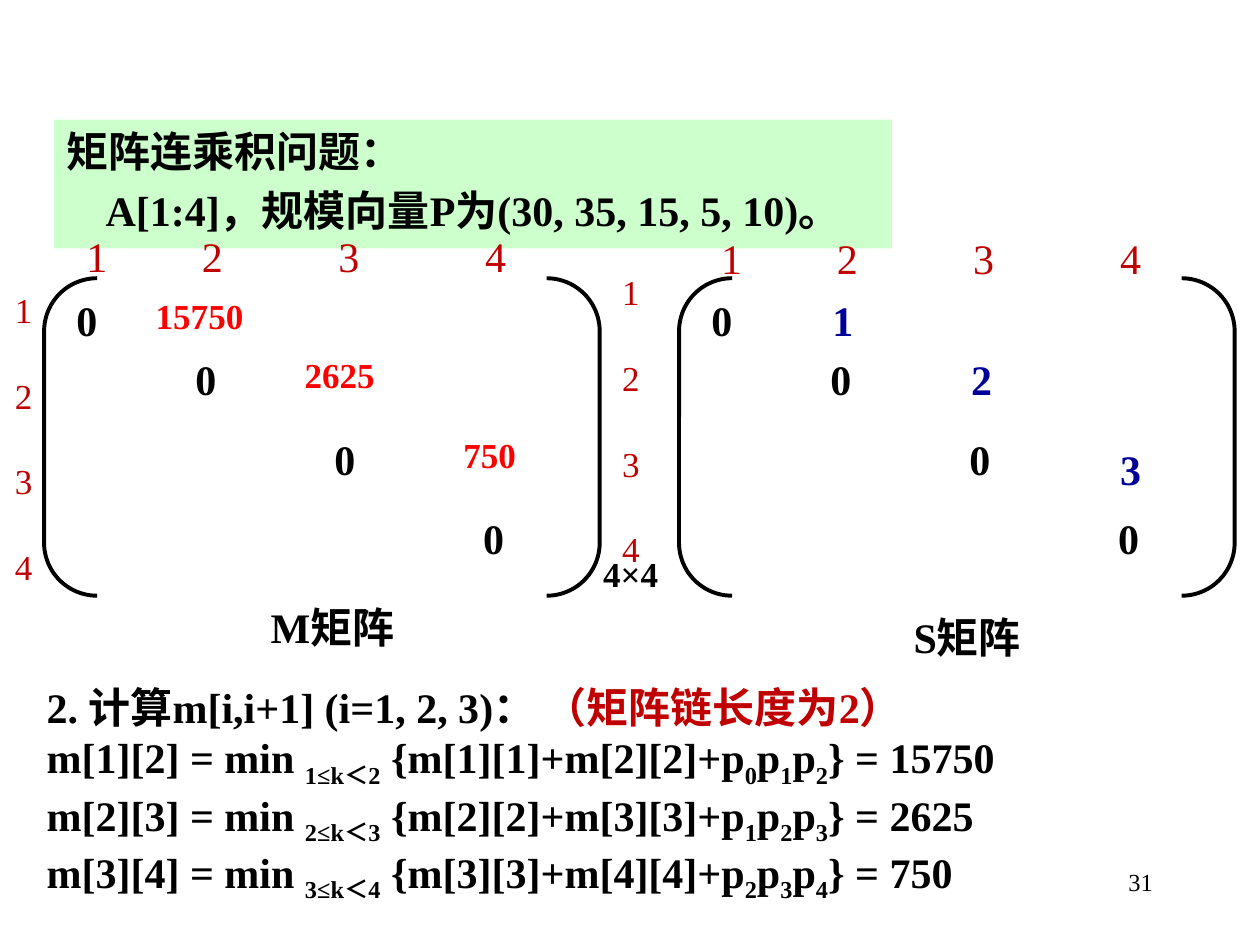
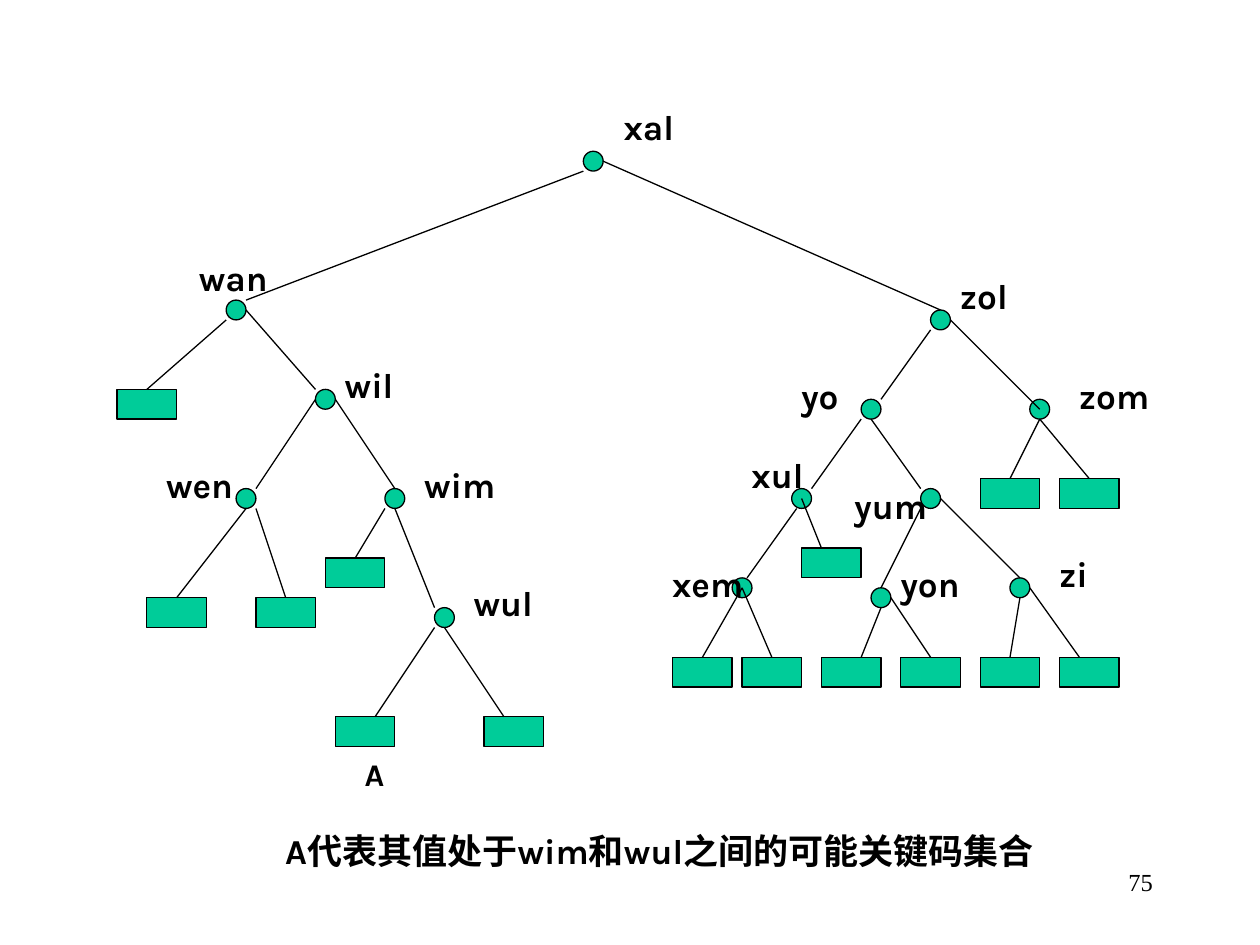
from lxml import etree
from pptx import Presentation
from pptx.dml.color import RGBColor
from pptx.enum.shapes import MSO_CONNECTOR, MSO_SHAPE
from pptx.enum.text import MSO_ANCHOR, PP_ALIGN
from pptx.oxml.ns import qn
from pptx.util import Cm, Pt

LEFT, MID, RIGHT = PP_ALIGN.LEFT, PP_ALIGN.CENTER, PP_ALIGN.RIGHT
TOP = MSO_ANCHOR.TOP
RECT, OVAL, PAIR = MSO_SHAPE.RECTANGLE, MSO_SHAPE.OVAL, MSO_SHAPE.DOUBLE_BRACKET
LINE = MSO_CONNECTOR.STRAIGHT
hue = RGBColor.from_string

BLACK, RED, DARK, BLUE = "000000", "FF0000", "C00000", "000099"
MINT, GREEN = "CCFFCC", "00CC99"
BASE = {"name": "Times New Roman", "size": Pt(24), "bold": True}
SMALL = BASE | {"size": Pt(20)}
PLAIN = BASE | {"bold": False}
KARLA = SMALL | {"name": "Karla"}


def write(slide, place, lines, form=BASE, ink=BLACK, align=LEFT, gap=0, fill=None):
    area = [Cm(v) for v in place]
    if fill:
        box = slide.shapes.add_shape(RECT, *area)
        box.shadow.inherit = False
        box.fill.solid()
        box.fill.fore_color.rgb = hue(fill)
        box.line.fill.background()
    else:
        box = slide.shapes.add_textbox(*area)
    frame = box.text_frame
    frame.word_wrap = True
    frame.vertical_anchor = TOP
    for n, line in enumerate(lines):
        para = frame.add_paragraph() if n else frame.paragraphs[0]
        para.alignment = align
        if n and gap:
            para.space_before = Pt(gap)
        for part in line.split("|"):
            run = para.add_run()
            run.text = part
            for key, val in form.items():
                setattr(run.font, key, val)
            run.font.color.rgb = hue(ink)
    return frame


deck = Presentation()
deck.slide_width, deck.slide_height = Cm(25.4), Cm(19.05)
pages = []
for number in ("31", "75"):
    page = deck.slides.add_slide(deck.slide_layouts[6])
    write(page, (18.21, 17.35, 5.28, 1.27), [number],
          PLAIN | {"size": Pt(14)}, align=RIGHT)
    pages.append(page)
chain, tree = pages

head = write(chain, (1.09, 2.41, 16.89, 2.6),
             ["矩阵连乘积问题：", "A[1:4]，规模向量P为(30, 35, 15, 5, 10)。"],
             gap=5, fill=MINT)
head.paragraphs[1].alignment = MID

M_LEFT, S_LEFT, Y = 0.89, 13.69, 5.61
ZEROS = [(0.4, 0.2), (2.8, 1.4), (5.6, 3), (8.6, 4.6)]
STOPS = (2.33, 5.08, 8.04)
for name, left, top, cap_x, cap_y, row_x, row_y in [
    ("M矩阵", M_LEFT, 4.52, 3.5, 12, 0.05, 5.69),
    ("S矩阵", S_LEFT, 4.57, 16.3, 12.2, 12.29, 5.33),
]:
    pair = chain.shapes.add_shape(PAIR, Cm(left), Cm(Y), Cm(11.2), Cm(6.4))
    pair.shadow.inherit = False
    pair.adjustments[0] = 0.167
    pair.fill.background()
    pair.line.color.rgb = hue(BLACK)
    pair.line.width = Pt(2.25)
    for dx, dy in ZEROS:
        write(chain, (left + dx, Y + dy, 2, 1.27), ["0"])
    write(chain, (cap_x, cap_y, 6.4, 1.27), [name], align=MID)
    cols = write(chain, (left + 0.6, top, 11, 1.27), ["1\t2\t3\t4"], PLAIN, DARK)
    tabs = etree.SubElement(cols.paragraphs[0]._p.get_or_add_pPr(), qn("a:tabLst"))
    for stop in STOPS:
        etree.SubElement(tabs, qn("a:tab"), pos=str(Cm(stop)), algn="l")
    write(chain, (row_x, row_y, 1.27, 6.25), list("1234"),
          SMALL | {"bold": False}, DARK, gap=25)

for dx, dy, cost in [(2, 0.2, "15750"), (5, 1.4, "2625"), (8.2, 3, "750")]:
    write(chain, (M_LEFT + dx, Y + dy, 2.6, 1.1), [cost], SMALL, RED)
for dx, dy, cut in [(2.4, 0.2, "1"), (5.2, 1.4, "2"), (8.2, 3.2, "3")]:
    write(chain, (S_LEFT + dx, Y + dy, 1.8, 1.27), [cut], ink=BLUE, align=MID)
write(chain, (11.91, 11.02, 2, 1.1), ["4×4"], SMALL)

steps = ["2. 计算m[i,i+1] (i=1, 2, 3)： |（矩阵链长度为2）"]
for i, cost in enumerate((15750, 2625, 750), 1):
    j = i + 1
    steps.append(f"m[{i}][{j}] = min |{i}≤k＜{j}| {{m[{i}][{i}]+m[{j}][{j}]"
                 f"+p|{i - 1}|p|{i}|p|{j}|}} = {cost}")
body = write(chain, (0.69, 13.61, 23.39, 4.37), steps)
body.paragraphs[0].runs[1].font.color.rgb = hue(DARK)
for para in body.paragraphs[1:]:
    for run in para.runs[1::2]:
        run.font._element.set("baseline", "-25000")

UNIT, LEFT_X, TOP_Y = 0.2, 2.36, 3.05
NODES = [(47, 0), (11, 15), (20, 24), (12, 34), (27, 34), (32, 46), (82, 16),
         (75, 25), (92, 25), (68, 34), (81, 34), (62, 43), (76, 44), (90, 43)]
EDGES = [(13, 15, 47, 2), (49, 1, 83, 16), (13, 16, 20, 24), (20, 25, 14, 34),
         (22, 25, 28, 34), (28, 36, 32, 46), (84, 17, 93, 26), (82, 18, 77, 25),
         (75, 27, 70, 34), (76, 27, 81, 34), (68.5, 36, 63.5, 43),
         (83, 35, 91, 43), (81, 36, 77, 44)]
LEAVES = [(0, 24, 11, 17, 0), (3, 45, 13, 36, 0), (14, 45, 14, 36, 0),
          (21, 41, 27, 36, 0), (22, 57, 32, 48, 1), (37, 57, 33, 48, -1),
          (69, 40, 69, 35, -1), (56, 51, 63, 44, 0), (63, 51, 63, 44, 0),
          (71, 51, 77, 46, 1), (79, 51, 78, 45, 0), (87, 51, 91, 45, 0),
          (95, 51, 92, 44, -1), (87, 33, 93, 27, 0), (95, 33, 93, 27, 0)]

spots = [(OVAL, x, y, 2, 2) for x, y in NODES]
spots += [(RECT, x, y, 6, 3) for x, y, *_ in LEAVES]
marks = []
for kind, x, y, w, h in spots:
    mark = tree.shapes.add_shape(kind, Cm(LEFT_X + x * UNIT), Cm(TOP_Y + y * UNIT),
                                 Cm(w * UNIT), Cm(h * UNIT))
    mark.shadow.inherit = False
    mark.fill.solid()
    mark.fill.fore_color.rgb = hue(GREEN)
    mark.line.color.rgb = hue(BLACK)
    mark.line.width = Pt(0.75)
    marks.append(mark)

links = [(*edge, None) for edge in EDGES]
for (x, y, from_x, from_y, shift), leaf in zip(LEAVES, marks[len(NODES):]):
    links.append((from_x, from_y, x + 3 + shift, y, None if shift else leaf))
for x1, y1, x2, y2, leaf in links:
    link = tree.shapes.add_connector(
        LINE, Cm(LEFT_X + x1 * UNIT), Cm(TOP_Y + y1 * UNIT),
        Cm(LEFT_X + x2 * UNIT), Cm(TOP_Y + y2 * UNIT))
    link.line.color.rgb = hue(BLACK)
    link.line.width = Pt(0.75)
    etree.SubElement(link._element.spPr, qn("a:effectLst"))
    if leaf:
        link.end_connect(leaf, 0)

for word, x, y, w in [
    ("xal", 12.32, 2, 1.6), ("wan", 3.76, 5.05, 2.2), ("wil", 6.7, 7.2, 1.6),
    ("wen", 3.1, 9.22, 2), ("wim", 8.3, 9.22, 2.05), ("wul", 9.3, 11.6, 1.8),
    ("zol", 19.1, 5.4, 1.55), ("yo", 15.9, 7.42, 1.35), ("zom", 21.5, 7.42, 2),
    ("xul", 14.9, 9.02, 1.62), ("yum", 16.97, 9.65, 2.13), ("xem", 13.3, 11.22, 2.03),
    ("yon", 17.9, 11.22, 1.8), ("zi", 21.1, 11.02, 1.12),
]:
    write(tree, (x, y, w, 1.1), [word], KARLA)
write(tree, (7.1, 15.09, 1, 1), ["A"], KARLA | {"size": Pt(18)})
write(tree, (5.5, 16.6, 15.88, 1.1),
      ["A代表其值处于wim和wul之间的可能关键码集合"], KARLA)

deck.save("out.pptx")
